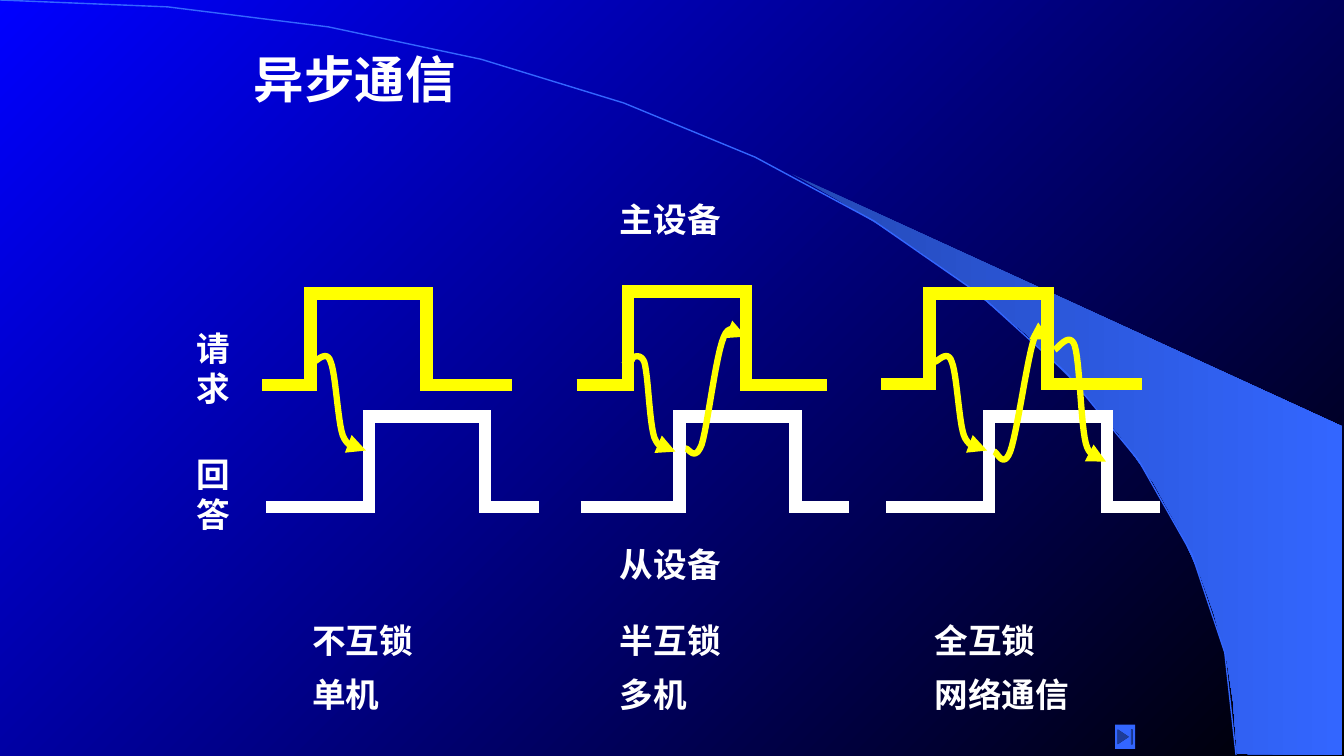
from lxml import etree
from pptx import Presentation
from pptx import util as u
from pptx.dml.color import RGBColor
from pptx.enum import shapes, text
from pptx.oxml import ns

COLORS = {"yellow": "FFFF00", "white": "FFFFFF", "blue": "3366FF",
          "deep": "2449B6", "sky": "0000FF", "night": "000000"}
FONT = {"name": "Times New Roman", "bold": True}
HALF_LINE = 0.06
CURVE_STEPS = 12

# Left, top, width, height, size, wrap, lines
LABELS = [
    (2.42, 0.43, 3.07, 0.7, 36, True, ["异步通信"]),
    (6.05, 1.92, 2.53, 0.5, 24, True, ["主设备"]),
    (6.05, 5.35, 2.95, 0.5, 24, True, ["从设备"]),
    (1.85, 3.2, 0.54, 0.91, 24, False, ["请", "求"]),
    (1.85, 4.45, 0.54, 0.91, 24, False, ["回", "答"]),
]
# Left edge, locking mode, use
MODES = [(3, "不互锁", "单机"), (6.05, "半互锁", "多机"), (9.17, "全互锁", "网络通信")]

# Start, rise, fall, end, high level, low level
REPLIES = [(2.64, 3.66, 4.81, 5.35, 4.13, 5.03),
           (5.76, 6.74, 7.89, 8.42, 4.13, 5.03),
           (8.79, 9.81, 10.98, 11.51, 4.13, 5.03)]
REQUESTS = [(2.6, 3.08, 4.23, 5.08, 2.91, 3.82),
            (5.72, 6.23, 7.4, 8.2, 2.89, 3.82),
            (8.74, 9.22, 10.39, 11.33, 2.91, 3.81)]

# Bezier points: a start, then three for each section
ASK = [(3.11, 3.59), (3.14, 3.59), (3.24, 3.46), (3.28, 3.59), (3.33, 3.71),
       (3.35, 4.18), (3.4, 4.32), (3.46, 4.47), (3.58, 4.44), (3.63, 4.47)]
HANDSHAKES = [
    ASK,
    [(6.18, 3.62), (6.2, 3.61), (6.26, 3.57), (6.27, 3.57), (6.27, 3.56),
     (6.19, 3.57), (6.21, 3.58), (6.23, 3.58), (6.34, 3.47), (6.39, 3.59),
     (6.43, 3.72), (6.44, 4.19), (6.49, 4.34), (6.55, 4.49), (6.67, 4.46),
     (6.7, 4.48)],
    [(x + 6.16, y) for x, y in ASK],
    [(6.8, 4.45), (6.83, 4.44), (6.89, 4.59), (6.96, 4.41), (7.02, 4.22),
     (7.1, 3.52), (7.18, 3.34), (7.25, 3.17), (7.36, 3.34), (7.4, 3.34)],
    [(9.86, 4.48), (9.89, 4.48), (9.95, 4.66), (10.02, 4.48), (10.09, 4.29),
     (10.19, 3.54), (10.26, 3.35), (10.33, 3.17), (10.38, 3.36), (10.42, 3.37)],
    [(10.46, 3.47), (10.49, 3.46), (10.61, 3.28), (10.66, 3.43), (10.71, 3.59),
     (10.72, 4.21), (10.77, 4.4), (10.82, 4.58), (10.93, 4.51), (10.97, 4.54),
     (11, 4.57), (10.97, 4.57), (10.97, 4.58)],
]
ARC = [(0, 0), (6.77, 0), (12.26, 3.35), (12.26, 7.49)]
WEDGE = [(12.27, 7.48), (13.31, 7.49), (13.31, 4.23), (7.86, 1.73), (8.32, 1.99),
         (8.7, 2.22), (9.13, 2.5), (9.55, 2.8), (10.16, 3.3), (10.7, 3.84),
         (11.1, 4.31), (11.44, 4.79), (11.71, 5.28), (11.91, 5.72),
         (12.04, 6.09), (12.17, 6.56), (12.23, 6.96)]


def rgb(name):
    return RGBColor.from_string(COLORS[name])


def set_gradient(fill, names, angle):
    fill.gradient()
    fill.gradient_angle = angle
    for stop, name in zip(fill.gradient_stops, names):
        stop.color.rgb = rgb(name)


def set_line(shape, color, width):
    shape.line.color.rgb = rgb(color)
    shape.line.width = u.Pt(width)


def add_outline(slide, points, close=False):
    points = [(u.Inches(x), u.Inches(y)) for x, y in points]
    builder = slide.shapes.build_freeform(*points[0])
    builder.add_line_segments(points[1:], close=close)
    shape = builder.convert_to_shape()
    shape.shadow.inherit = False
    return shape


def bezier_points(controls):
    points = [controls[0]]
    for first in range(0, len(controls) - 1, 3):
        section = controls[first:first + 4]
        for step in range(1, CURVE_STEPS + 1):
            t = step / CURVE_STEPS
            weights = ((1 - t) ** 3, 3 * t * (1 - t) ** 2, 3 * t * t * (1 - t), t ** 3)
            points.append(tuple(sum(w * p[axis] for w, p in zip(weights, section))
                                for axis in (0, 1)))
    return points


def add_curve(slide, controls, color, width, arrow=False):
    shape = add_outline(slide, bezier_points(controls))
    shape.fill.background()
    set_line(shape, color, width)
    if arrow:
        line = shape.line._get_or_add_ln()
        etree.SubElement(line, ns.qn("a:tailEnd"), type="triangle")


def add_segment(slide, start, end, color):
    connector = slide.shapes.add_connector(
        shapes.MSO_CONNECTOR.STRAIGHT, *(u.Inches(value) for value in start + end))
    set_line(connector, color, 9)
    etree.SubElement(connector._element.spPr, ns.qn("a:effectLst"))


def add_pulse(slide, levels, color):
    start, rise, fall, end, high, low = levels
    left, right = rise - HALF_LINE, fall + HALF_LINE
    top, bottom = high - HALF_LINE, low + HALF_LINE
    for begin, finish in [((start, low), (rise + HALF_LINE, low)),
                          ((rise, top), (rise, bottom)),
                          ((left, high), (right, high)),
                          ((fall, top), (fall, bottom)),
                          ((fall - HALF_LINE, low), (end, low))]:
        add_segment(slide, begin, finish, color)


def add_label(slide, left, top, width, height, size, wrap, lines):
    box = slide.shapes.add_textbox(*(u.Inches(v) for v in (left, top, width, height)))
    frame = box.text_frame
    frame.word_wrap = wrap
    frame.auto_size = text.MSO_AUTO_SIZE.SHAPE_TO_FIT_TEXT
    for index, words in enumerate(lines):
        paragraph = frame.add_paragraph() if index else frame.paragraphs[0]
        run = paragraph.add_run()
        run.text = words
        run.font.color.rgb = rgb("white")
        for name, value in {**FONT, "size": u.Pt(size)}.items():
            setattr(run.font, name, value)


def add_backdrop(slide):
    set_gradient(slide.background.fill, ("sky", "night"), 315)
    wedge = add_outline(slide, WEDGE, close=True)
    set_gradient(wedge.fill, ("deep", "blue"), 0)
    wedge.line.fill.background()
    add_curve(slide, ARC, "blue", 1)


def add_end_button(slide):
    button = slide.shapes.add_shape(
        shapes.MSO_SHAPE.ACTION_BUTTON_END,
        u.Inches(11.06), u.Inches(7.19), u.Inches(0.2), u.Inches(0.24))
    button.shadow.inherit = False
    button.fill.solid()
    button.fill.fore_color.rgb = rgb("blue")
    button.line.fill.background()


def main():
    presentation = Presentation()
    presentation.slide_width = u.Inches(13.33)
    presentation.slide_height = u.Inches(7.5)
    slide = presentation.slides.add_slide(presentation.slide_layouts[6])
    add_backdrop(slide)

    # Titles and captions
    for label in LABELS:
        add_label(slide, *label)
    for left, mode, use in MODES:
        for top, words in ((6.1, mode), (6.64, use)):
            add_label(slide, left, top, 1.67, 0.5, 24, True, [words])

    # Timing diagram
    for pulses, color in ((REPLIES, "white"), (REQUESTS, "yellow")):
        for levels in pulses:
            add_pulse(slide, levels, color)
    for controls in HANDSHAKES:
        add_curve(slide, controls, "yellow", 4.5, arrow=True)

    add_end_button(slide)
    presentation.save("out.pptx")


if __name__ == "__main__":
    main()
